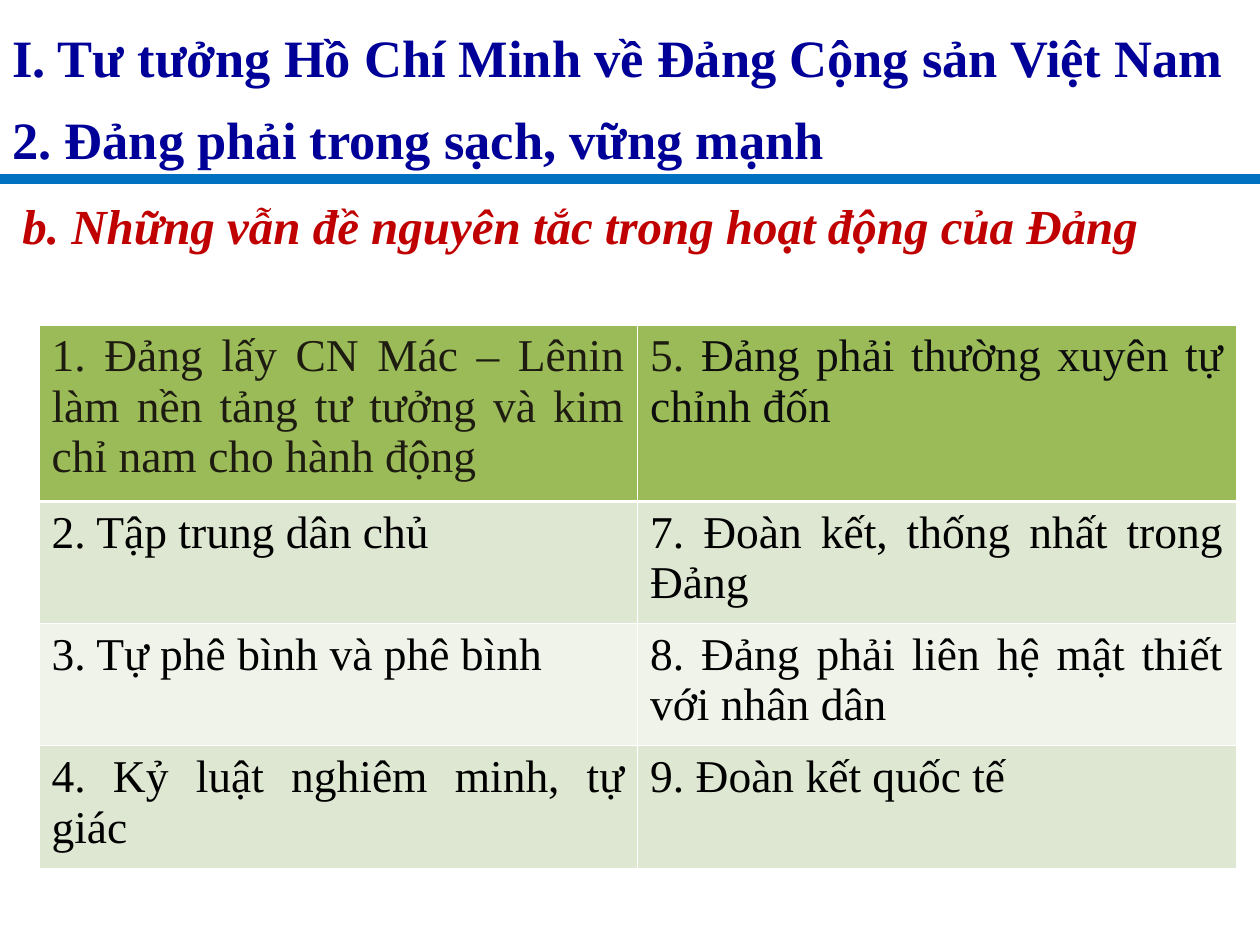
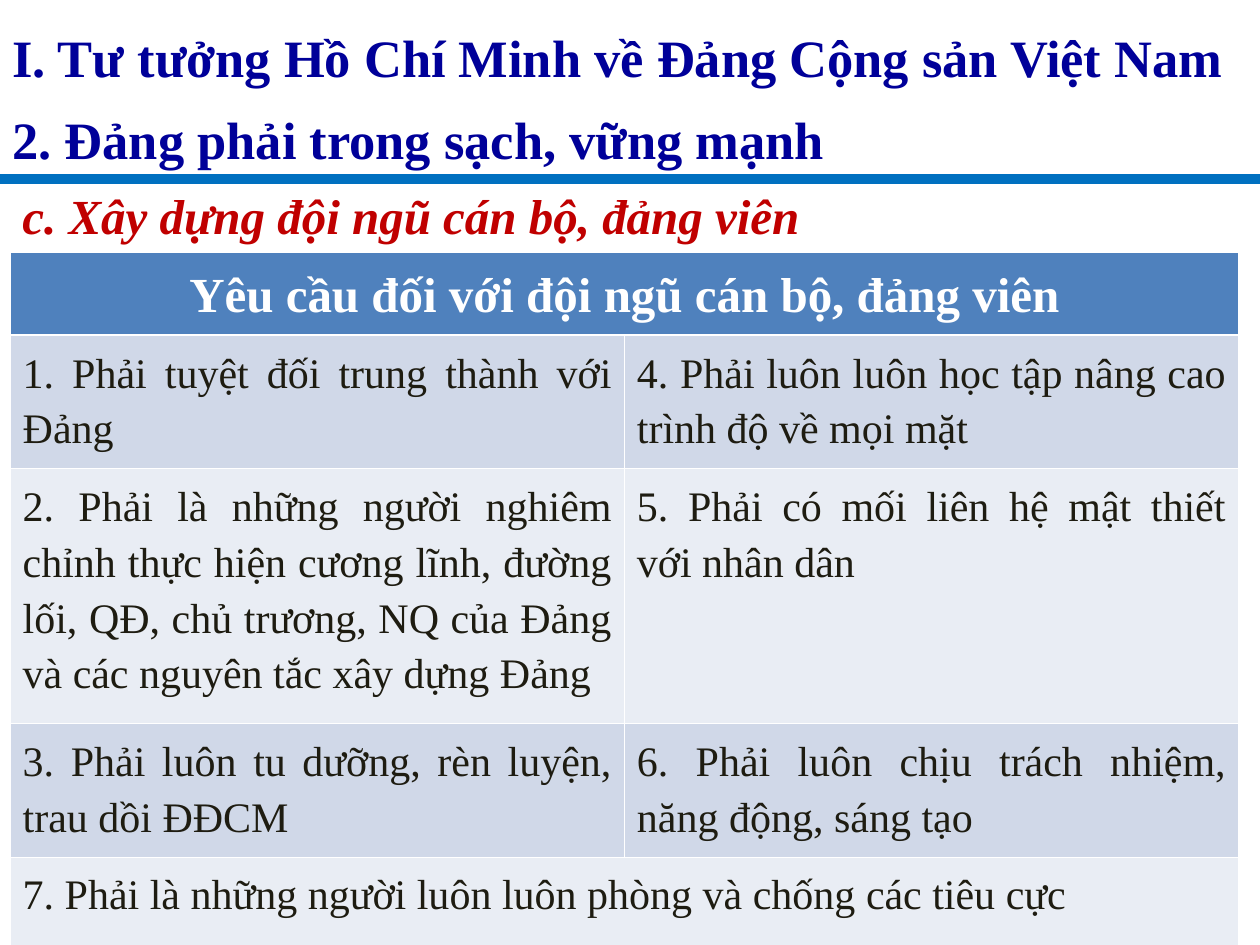
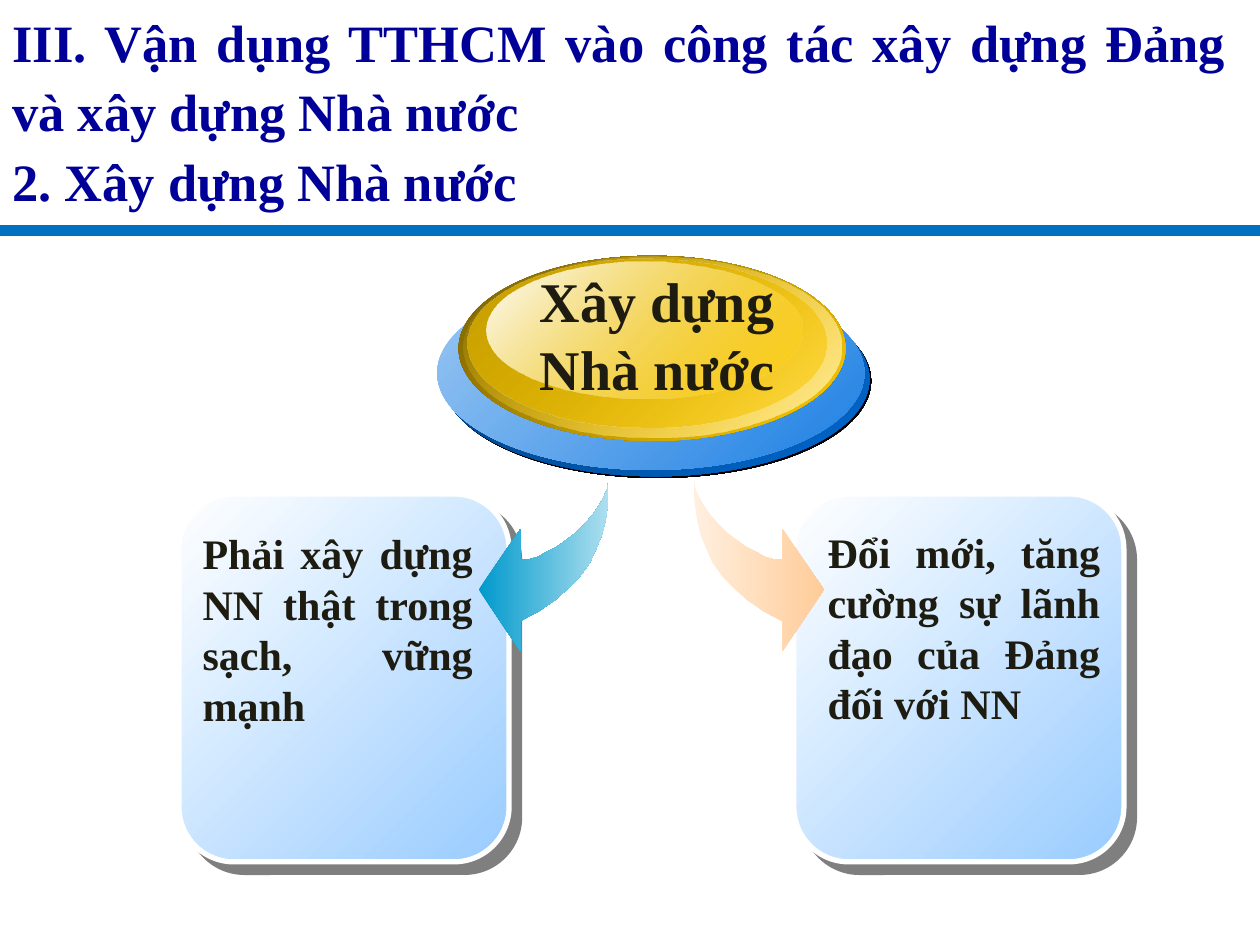
import pptx
import pptx.dml.color
import pptx.enum.shapes
import pptx.enum.text
import pptx.oxml
import pptx.oxml.ns
import pptx.util
from lxml import etree

ALIGN = pptx.enum.text.PP_ALIGN
SHAPE = pptx.enum.shapes.MSO_SHAPE
FONT = "Times New Roman"
NAVY, BLUE, RED = "000099", "0070C0", "C00000"
INK, BLACK, WHITE = "1E1C11", "000000", "FFFFFF"
COLUMNS, ROWS = 100, 75          # grid of the slide, square cells
CELL = pptx.util.Inches(0.1)
THIN, THICK = 0.45, 1.47         # table border widths in points


def colour(code):
    return pptx.dml.color.RGBColor.from_string(code)


def grid(*lengths):
    return [round(length * CELL) for length in lengths]


def child(parent, tag, **attributes):
    values = {name: str(value) for name, value in attributes.items()}
    return etree.SubElement(parent, pptx.oxml.ns.qn(tag), values)


class Slides:
    def __init__(self):
        self.deck = pptx.Presentation()
        self.deck.slide_width, self.deck.slide_height = grid(COLUMNS, ROWS)
        self.page = None

    def add_page(self, titles, top, height, spacing, rule_row):
        """Start a slide with its navy title and the blue rule."""
        self.page = self.deck.slides.add_slide(self.deck.slide_layouts[6])
        self.rule(rule_row)
        self.text((0, top, 98.3, height), titles, 30, NAVY, spacing=spacing)

    def rule(self, row):
        straight = pptx.enum.shapes.MSO_CONNECTOR.STRAIGHT
        line = self.page.shapes.add_connector(straight, *grid(0, row, COLUMNS, row))
        line.line.color.rgb = colour(BLUE)
        line.line.width = pptx.util.Pt(6)
        child(line._element.spPr, "a:effectLst")

    def subtitle(self, row, words):
        self.text((0.8, row, 97.5, 5.7), [words], 28, RED, ALIGN.LEFT, italic=True)

    def text(self, place, lines, size, ink, align=ALIGN.JUSTIFY, spacing=None, italic=None):
        frame = self.page.shapes.add_textbox(*grid(*place)).text_frame
        frame.word_wrap = True
        frame.auto_size = pptx.enum.text.MSO_AUTO_SIZE.SHAPE_TO_FIT_TEXT
        frame.text = "\n".join(lines)
        self.style(frame, size, ink, align, spacing, True, italic)

    def style(self, frame, size, ink, align, spacing=None, bold=False, italic=None):
        for para in frame.paragraphs:
            para.alignment = align
            para.line_spacing = spacing
            for span in para.runs:
                font = span.font
                font.name, font.size = FONT, pptx.util.Pt(size)
                font.bold, font.italic = bold, italic
                font.color.rgb = colour(ink)

    def table(self, place, heights, rows, fills, head, body, spacing=None):
        """head and body are (size, ink, alignment, bold); None joins a cell to its left."""
        shape = self.page.shapes.add_table(len(rows), 2, *grid(*place))
        table = shape.table
        table.first_row = table.horz_banding = False
        for row, height in zip(table.rows, heights):
            row.height, = grid(height)
        for r, words in enumerate(rows):
            fill = fills[0] if r == 0 else fills[2 - r % 2]
            size, ink, align, bold = head if r == 0 else body
            for c, word in enumerate(words):
                cell = table.cell(r, c)
                self.borders(cell, r)
                cell.fill.solid()
                cell.fill.fore_color.rgb = colour(fill)
                if word is None:
                    table.cell(r, c - 1).merge(cell)
                    continue
                cell.text_frame.text = word
                self.style(cell.text_frame, size, ink, align, spacing, bold)
        return table

    def borders(self, cell, row):
        widths = {"a:lnL": THIN, "a:lnR": THIN,
                  "a:lnT": THICK if row == 1 else THIN,
                  "a:lnB": THICK if row == 0 else THIN}
        properties = cell._tc.get_or_add_tcPr()
        for tag, width in widths.items():
            line = child(properties, tag, w=pptx.util.Pt(width))
            child(child(line, "a:solidFill"), "a:srgbClr", val=WHITE)

    def gradient(self, shape, stops, angle):
        """Each stop is (colour, opacity in percent)."""
        shape.shadow.inherit = False
        shape.line.fill.background()
        shape.fill.gradient()
        shape.fill.gradient_angle = (360 - angle) % 360
        for stop, (code, opacity) in zip(shape.fill.gradient_stops, stops):
            stop.color.rgb = colour(code)
            if opacity < 100:
                mark = stop._gs.find(pptx.oxml.ns.qn("a:srgbClr"))
                child(mark, "a:alpha", val=opacity * 1000)

    def shadow(self, shape, opacity, distance):
        effects = shape._element.spPr.find(pptx.oxml.ns.qn("a:effectLst"))
        cast = child(effects, "a:outerShdw", blurRad=0, dist=pptx.util.Pt(distance),
                     dir=45 * 60000, algn="ctr", rotWithShape=0)
        child(child(cast, "a:srgbClr", val=BLACK), "a:alpha", val=opacity * 1000)

    def shape(self, kind, place, start, end, opacities=(100, 100)):
        shape = self.page.shapes.add_shape(kind, *grid(*place))
        self.gradient(shape, list(zip((start, end), opacities)), 45)
        return shape

    def card(self, left):
        card = self.shape(SHAPE.ROUNDED_RECTANGLE, (left, 39.2, 26.2, 29.2), WHITE, "99CCFF")
        card.line.color.rgb = colour(WHITE)
        card.line.width = pptx.util.Pt(3)
        self.shadow(card, 50, 8.5)

    def arrow(self, tail, top, direction, stops):
        """Curved arrow; direction is -1 to the left and 1 to the right."""
        points = [grid(tail + direction * x, top + y) for x, y in ARROW]
        builder = self.page.shapes.build_freeform(*points[0])
        builder.add_line_segments(points[1:], close=True)
        self.gradient(builder.convert_to_shape(), [(code, 100) for code in stops], 0)


# Arrow outline: columns away from the tail, rows below it
ARROW = [(0, 0), (0, 1.5), (0.2, 3), (0.5, 4.3), (1, 5.5), (1.5, 6.6), (2.3, 7.7),
         (3.2, 8.6), (4.2, 9.5), (5.5, 10.4), (7, 11.2), (7, 13.6), (10.3, 8.7),
         (7, 3.9), (7, 6.3), (6.3, 6.3), (5.6, 6.1), (4.9, 5.7), (4.1, 5.3),
         (3.4, 4.8), (2.6, 4.2), (1.9, 3.5), (1.3, 2.8), (0.8, 2.1), (0.4, 1.4), (0.1, 0.7)]

# Medallion layers: place, first colour, last colour, opacities
MEDALLION = [
    ((34.7, 21.9, 33.9, 15.4), "9BC7F3", "1D80E3", (100, 100)),
    ((36.4, 20.3, 30.7, 14.7), "765E00", "FFCC00", (100, 100)),
    ((36.8, 20.4, 30, 14.3), "FFCC00", "FFEDA6", (0, 100)),
    ((37.1, 20.5, 28.5, 13.4), "CAA200", "FFCC00", (100, 48)),
    ((38.6, 20.8, 25.1, 10.8), "FFFFFF", "FFCC00", (100, 38)),
]

PARTY_TITLES = ["I. Tư tưởng Hồ Chí Minh về Đảng Cộng sản Việt Nam",
                "2. Đảng phải trong sạch, vững mạnh"]
PARTY_HEADER = (PARTY_TITLES, 0, 20.5, 1.3, 14.2)


def principles(slides):
    slides.add_page(*PARTY_HEADER)
    slides.subtitle(15, "b. Những vẫn đề nguyên tắc trong hoạt động của Đảng")
    rows = [
        ("1. Đảng lấy CN Mác – Lênin làm nền tảng tư tưởng và kim chỉ nam cho hành động", "5. "),
        ("2. Tập trung dân chủ", "7. Đoàn kết, thống nhất trong Đảng"),
        ("3. Tự phê bình và phê bình", "8. Đảng phải liên hệ mật thiết với nhân dân"),
        ("4. Kỷ luật nghiêm minh, tự giác", "9. Đoàn kết quốc tế"),
    ]
    table = slides.table((3.1, 25.8, 95, 43.1), (14, 9.7, 9.7, 9.7), rows,
                         ("9BBB59", "DEE7D1", "EFF3EA"),
                         (26, INK, ALIGN.JUSTIFY, False), (26, BLACK, ALIGN.JUSTIFY, False))
    # The fifth principle continues in a darker ink
    frame = table.cell(0, 1).text_frame
    span = frame.paragraphs[0].add_run()
    span.text = "Đảng phải thường xuyên tự chỉnh đốn"
    slides.style(frame, 26, INK, ALIGN.JUSTIFY)
    span.font.color.rgb = colour("0D0D0D")


def members(slides):
    slides.add_page(*PARTY_HEADER)
    slides.subtitle(14.2, "c. Xây dựng đội ngũ cán bộ, đảng viên")
    rows = [
        ("Yêu cầu đối với đội ngũ cán bộ, đảng viên", None),
        ("1. Phải tuyệt đối trung thành với Đảng",
         "4. Phải luôn luôn học tập nâng cao trình độ về mọi mặt"),
        ("2. Phải là những người nghiêm chỉnh thực hiện cương lĩnh, đường lối, QĐ, "
         "chủ trương, NQ của Đảng và các nguyên tắc xây dựng Đảng",
         "5. Phải có mối liên hệ mật thiết với nhân dân"),
        ("3. Phải luôn tu dưỡng, rèn luyện, trau dồi ĐĐCM",
         "6. Phải luôn chịu trách nhiệm, năng động, sáng tạo"),
        ("7. Phải là những người luôn luôn phòng và chống các tiêu cực", None),
    ]
    slides.table((0.8, 20, 97.5, 56.4), (6.6, 10.6, 20.2, 10.6, 8.4), rows,
                 ("4F81BD", "D0D8E8", "E9EDF4"),
                 (28, WHITE, ALIGN.CENTER, True), (24, INK, ALIGN.JUSTIFY, False), 1.2)


def state_building(slides):
    titles = ["III. Vận dụng TTHCM vào công tác xây dựng Đảng và xây dựng Nhà nước",
              "2. Xây dựng Nhà nước"]
    slides.add_page(titles, -0.2, 17.5, 1.1, 18.3)
    # Two cards with their texts
    slides.card(63)
    slides.text((64.7, 41.3, 23.6, 17),
                ["Đổi mới, tăng cường sự lãnh đạo của Đảng đối với NN"], 24, INK)
    slides.card(14.2)
    slides.text((15.1, 41.4, 23.4, 17),
                ["Phải xây dựng NN thật trong sạch, vững mạnh"], 24, INK)
    # Arrows from the medallion to the cards
    slides.arrow(48.3, 38.1, -1, ("0099CC", "AEDFEF"))
    slides.arrow(55.1, 38.1, 1, ("FFEFDF", "FFCC99"))
    # Medallion, from its dark base up to its gloss
    base = slides.shape(SHAPE.OVAL, (35.1, 22.4, 33.9, 15.4), "004182", "0066CC")
    slides.shadow(base, 100, 1.4)
    for layer in MEDALLION:
        slides.shape(SHAPE.OVAL, *layer)
    slides.text((41.3, 20.7, 21.7, 11.7), ["Xây dựng Nhà nước"], 32, INK, ALIGN.CENTER)


def main():
    slides = Slides()
    principles(slides)
    members(slides)
    state_building(slides)
    slides.deck.save("out.pptx")


if __name__ == "__main__":
    main()
